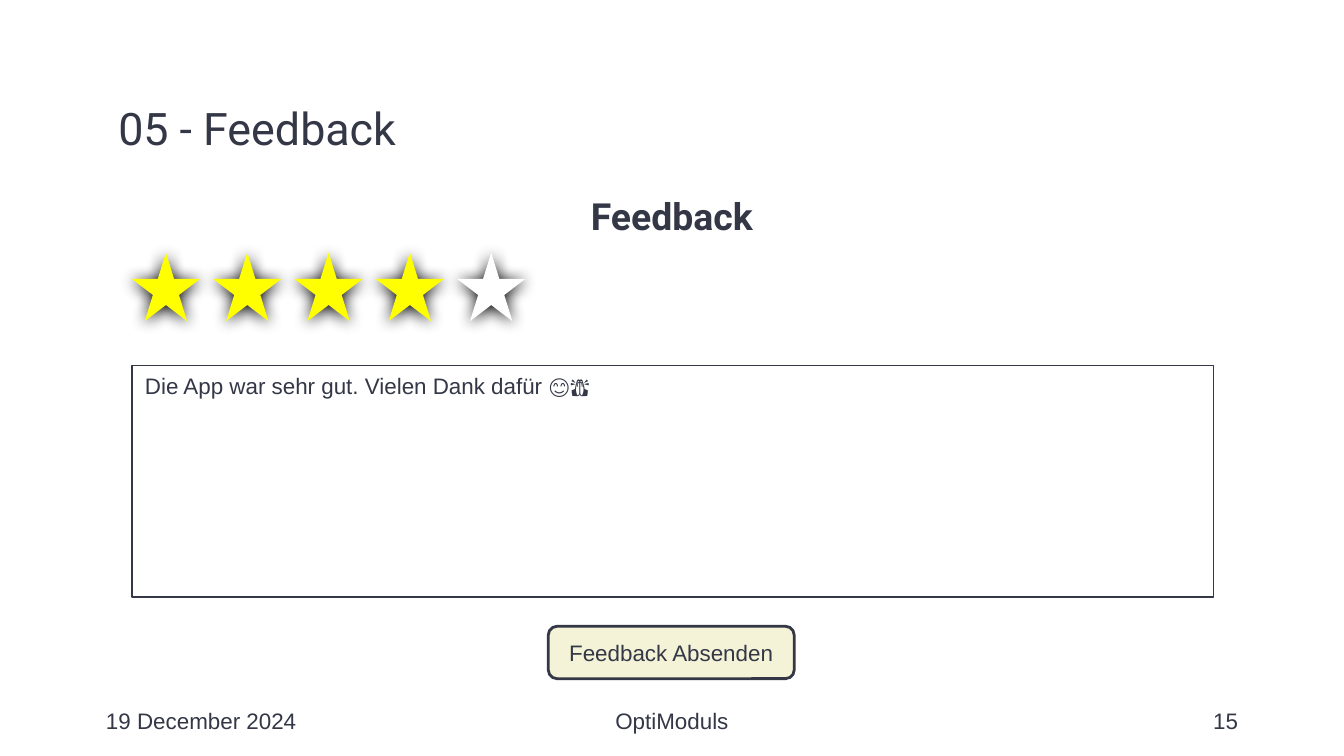
import pptx
import pptx.dml.color
import pptx.enum.shapes
import pptx.enum.text
import pptx.oxml
import pptx.oxml.ns
import pptx.util

Inches = pptx.util.Inches
RGBColor = pptx.dml.color.RGBColor
ALIGN = pptx.enum.text.PP_ALIGN
ANCHOR = pptx.enum.text.MSO_ANCHOR
SHAPE = pptx.enum.shapes.MSO_SHAPE

INK = RGBColor(0x33, 0x37, 0x46)
WHITE = RGBColor(0xFF, 0xFF, 0xFF)
YELLOW = RGBColor(0xFF, 0xFF, 0x00)
CREAM = RGBColor(0xF4, 0xF3, 0xD7)

# Content
TITLE = "05 - Feedback"
HEADING = "Feedback"
COMMENT = "Die App war sehr gut. Vielen Dank dafür 😊🙏"
BUTTON = "Feedback Absenden"
RATING, STAR_COUNT = 4, 5
FOOTER = [  # text, left, width, alignment
    ("19 December 2024", 0.69, 2.25, ALIGN.LEFT),
    ("OptiModuls", 3.31, 3.38, ALIGN.CENTER),
    ("15", 7.06, 2.25, ALIGN.RIGHT),
]
STAR_LEFT, STAR_RIGHT, STAR_TOP, STAR_SIZE = 0.98, 3.4, 1.88, 0.51
STAR_STEP = (STAR_RIGHT - STAR_LEFT) / (STAR_COUNT - 1)

SHADOW = (
    '<a:effectLst %s><a:outerShdw blurRad="107950" dist="12700" dir="5400000" '
    'algn="ctr" rotWithShape="0"><a:srgbClr val="000000"/></a:outerShdw></a:effectLst>'
    % pptx.oxml.ns.nsdecls("a")
)


def write(shape, text, size=12, font="Arial", align=ALIGN.LEFT,
          anchor=ANCHOR.MIDDLE, bold=False):
    frame = shape.text_frame
    frame.word_wrap = True
    frame.auto_size = pptx.enum.text.MSO_AUTO_SIZE.NONE
    frame.vertical_anchor = anchor
    frame.text = text
    paragraph = frame.paragraphs[0]
    paragraph.alignment = align
    paragraph.font.size = pptx.util.Pt(size)
    paragraph.font.name = font
    paragraph.font.bold = bold
    paragraph.font.color.rgb = INK


def write_heading(shape, text, size, **options):
    write(shape, text, size, "Roboto", anchor=ANCHOR.TOP, **options)
    frame = shape.text_frame
    frame.margin_left = frame.margin_right = Inches(0.1)
    frame.margin_top = frame.margin_bottom = Inches(0.1)
    frame.paragraphs[0].line_spacing = 1.15


def add_box(slide, kind, left, top, width, height, fill, line_width=None):
    shape = slide.shapes.add_shape(
        kind, Inches(left), Inches(top), Inches(width), Inches(height))
    shape.shadow.inherit = False
    shape.fill.solid()
    shape.fill.fore_color.rgb = fill
    if line_width:
        shape.line.color.rgb = INK
        shape.line.width = pptx.util.Pt(line_width)
    else:
        shape.line.fill.background()
    return shape


def add_text(slide, left, top, width, height):
    return slide.shapes.add_textbox(
        Inches(left), Inches(top), Inches(width), Inches(height))


# Widescreen slide, 16 to 9
presentation = pptx.Presentation()
presentation.slide_width = Inches(10)
presentation.slide_height = Inches(10) * 9 // 16
slide = presentation.slides.add_slide(presentation.slide_layouts[5])

# Title and heading
title = slide.shapes.title
title.left, title.top = Inches(0.78), Inches(0.59)
title.width, title.height = Inches(8.44), Inches(0.77)
write_heading(title, TITLE, 24)
write_heading(add_text(slide, 0.78, 1.29, 8.44, 0.59), HEADING, 20,
              align=ALIGN.CENTER, bold=True)

# Star rating
for index in range(STAR_COUNT):
    star = add_box(slide, SHAPE.STAR_5_POINT, STAR_LEFT + index * STAR_STEP,
                   STAR_TOP, STAR_SIZE, STAR_SIZE,
                   YELLOW if index < RATING else WHITE)
    properties = star.element.spPr
    properties.remove(properties.find(pptx.oxml.ns.qn("a:effectLst")))
    properties.append(pptx.oxml.parse_xml(SHADOW))

# Comment field and send button
comment = add_box(slide, SHAPE.RECTANGLE, 0.98, 2.72, 8.05, 1.72, WHITE, 1)
write(comment, COMMENT, anchor=ANCHOR.TOP)
button = add_box(slide, SHAPE.ROUNDED_RECTANGLE, 4.08, 4.66, 1.83, 0.39, CREAM, 1.5)
write(button, BUTTON, align=ALIGN.CENTER)

# Footer
for text, left, width, align in FOOTER:
    write(add_text(slide, left, 5.21, width, 0.3), text, align=align)

presentation.save("out.pptx")
